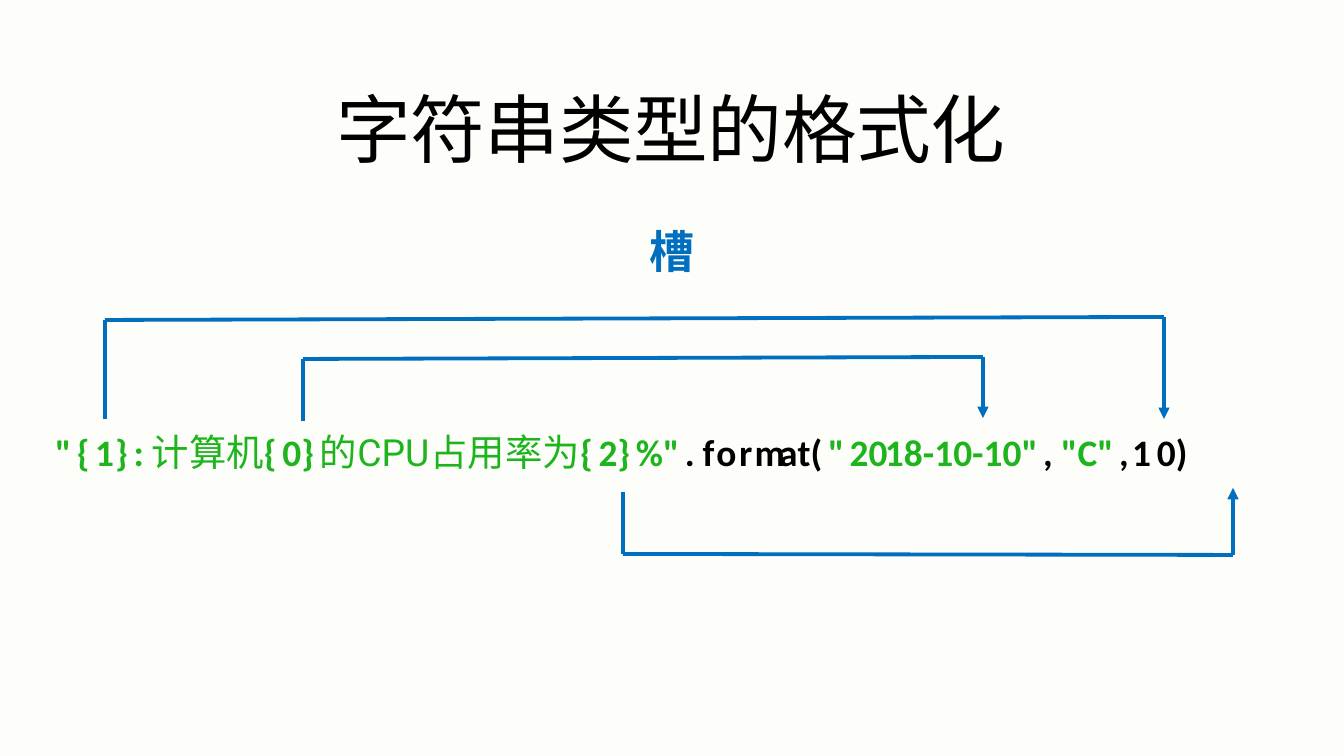
from itertools import pairwise

from lxml import etree
from pptx import Presentation
from pptx import util as u
from pptx.dml.color import RGBColor
from pptx.enum import shapes, text
from pptx.oxml.ns import qn

PX = 914400 / 134.4
PAPER = RGBColor(0xFD, 0xFD, 0xF9)
BLACK = RGBColor(0, 0, 0)
BLUE = RGBColor(0x00, 0x6F, 0xC0)
GREEN = RGBColor(0x1D, 0xB4, 0x1D)
MONO, SANS, CJK, ROBOTO = "DejaVu Sans Mono", "Calibri", "Noto Sans CJK SC", "Roboto"

# Each group: font, bold, colour, then (text, letter spacing in points)
CODE = [
    (SANS, True, GREEN, [('"{', 2.9), ("1", 0.6), ("}", 3), (":", 4.2)]),
    (MONO, False, GREEN, [("计算机", 0)]),
    (SANS, True, GREEN, [("{", 3), ("0", -2.5), ("}", 3)]),
    (MONO, False, GREEN, [("的", 0)]),
    (ROBOTO, False, GREEN, [("C", -1.2), ("P", -1.1), ("U", 0.5)]),
    (MONO, False, GREEN, [("占", -0.1), ("用率", 0), ("为", -0.1)]),
    (SANS, True, GREEN, [("{", 3), ("2", -2), ("}", 3), ("%", -8.8), ('"', 2.8)]),
    (SANS, True, BLACK, [(".", 4.2), ("fo", 1.4), ("r", 1.1), ("ma", -3.1),
                         ("t", -1.6), ("(", 3.1)]),
    (SANS, True, GREEN, [('"', 2.8), ("2", -2.1), ("01", -1.4), ("8", -1.7),
                         ("-", -2.6), ("1", -0.8), ("0", -1.1),
                         ("-", -2.6), ("1", -0.8), ("0", -1.1), ('"', 2.8)]),
    (SANS, True, BLACK, [(",", 4.5)]),
    (SANS, True, GREEN, [('"', -1), ("C", -1.8), ('"', 2.8)]),
    (SANS, True, BLACK, [(",", 1.9), ("1", 3.1), ("0", -2.5), (")", 3.1)]),
]


def px(n):
    """Turn pixels into EMU."""
    return u.Emu(round(n * PX))


def format_run(r, font, size, color, bold, spacing):
    """Set the font, colour and letter spacing of a run."""
    r.font.name, r.font.size, r.font.bold = font, u.Pt(size), bold
    r.font.color.rgb = color
    rPr = r.font._element
    rPr.set("spc", str(round(spacing * 100)))
    latin = rPr.find(qn("a:latin"))
    ea = etree.Element(qn("a:ea"), typeface=font)
    latin.addnext(ea)


def prepare_text(sp, box, indent=1, leading=None):
    """Place a text shape in its box and return its bare paragraph."""
    sp.left, sp.top, sp.width, sp.height = map(px, box)
    tf = sp.text_frame
    tf.margin_left = tf.margin_top = tf.margin_right = tf.margin_bottom = 0
    tf.word_wrap = True
    tf.auto_size = text.MSO_AUTO_SIZE.SHAPE_TO_FIT_TEXT
    tf.vertical_anchor = text.MSO_ANCHOR.TOP
    p = tf.paragraphs[0]
    p.alignment = text.PP_ALIGN.LEFT
    p.space_before = u.Pt(0)
    if leading:
        p.line_spacing = u.Pt(leading)
    pPr = p._p.get_or_add_pPr()
    pPr.set("marL", str(px(indent)))
    pPr.set("indent", "0")
    return p


def add_title(s, box):
    """Fill the title placeholder."""
    p = prepare_text(s.shapes.title, box, indent=73, leading=47.9)
    p.text = "字符串类型的格式化"
    format_run(p.runs[0], MONO, 40, BLACK, False, -0.1)


def add_slot_label(s, box):
    """Add the heading above the brackets."""
    p = prepare_text(s.shapes.add_textbox(0, 0, 0, 0), box, leading=28.8)
    p.text = "槽"
    format_run(p.runs[0], CJK, 24, BLUE, True, 0)


def add_code(s, box):
    """Add the line of code, coloured by token."""
    p = prepare_text(s.shapes.add_textbox(0, 0, 0, 0), box)
    for font, bold, color, tokens in CODE:
        for token, spacing in tokens:
            r = p.add_run()
            r.text = token
            format_run(r, font, 20, color, bold, spacing)


def add_bracket(s, x, y, width, bar_start, bar_end, tip):
    """Link a slot at (x, y) to its argument; heights are relative to y."""
    points = [(x, y), (x, y + bar_start), (x + width, y + bar_end), (x + width, y + tip)]
    for start, end in pairwise(points):
        line = s.shapes.add_connector(shapes.MSO_CONNECTOR.STRAIGHT,
                                      *map(px, start + end))
        line.line.color.rgb = BLUE
        line.line.width = u.Pt(2.04)
        etree.SubElement(line._element.spPr, qn("a:effectLst"))
    etree.SubElement(line.line._get_or_add_ln(), qn("a:tailEnd"),
                     type="triangle", w="med", len="med")


def build():
    """Build the slide."""
    prs = Presentation()
    prs.slide_width, prs.slide_height = px(1344), px(756)
    s = prs.slides.add_slide(prs.slide_layouts[5])
    s.background.fill.solid()
    s.background.fill.fore_color.rgb = PAPER
    add_title(s, (263, 83, 816, 78))
    add_slot_label(s, (649, 224, 48, 44))
    add_code(s, (54, 429, 1220, 43))
    add_bracket(s, 105, 419, 1059, -99, -102, 0)
    add_bracket(s, 303, 421, 680, -62, -64, -3)
    add_bracket(s, 623, 492, 610, 62, 63, -4)
    prs.save("out.pptx")


build()
